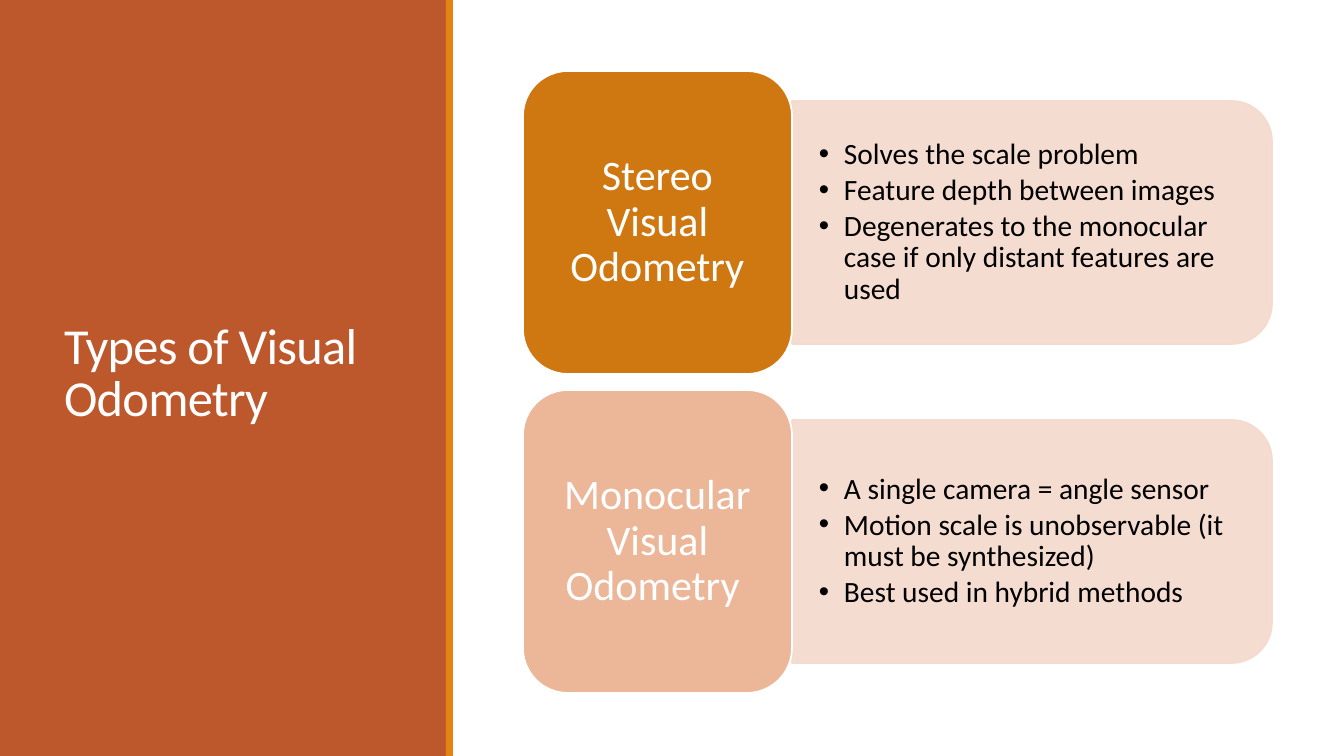
import lxml.etree
import pptx
import pptx.dml.color
import pptx.enum.shapes
import pptx.enum.text
import pptx.oxml.ns
import pptx.util

PX = 914400 / 100.8
THEME = {
    "font": "Calibri",
    "rust": "BD582C", "orange": "E48312", "white": "FFFFFF", "black": "000000",
    "amber": "CF7710", "peach": "ECB698", "blush": "F5D9CC",
    "title": 36, "label": 30, "point": 21, "outline": 1.25,
}
SHAPE = pptx.enum.shapes.MSO_SHAPE
qn = pptx.oxml.ns.qn


def px(length):
    return pptx.util.Emu(round(length * PX))


def add_block(kind, box, fill, outline=None, alpha=None):
    """Add a preset shape; alpha is the opacity of fill and outline in percent."""
    block = slide.shapes.add_shape(kind, *map(px, box))
    block.shadow.inherit = False
    block.fill.solid()
    block.fill.fore_color.rgb = pptx.dml.color.RGBColor.from_string(THEME[fill])
    if outline:
        block.line.color.rgb = pptx.dml.color.RGBColor.from_string(THEME[outline])
        block.line.width = pptx.util.Pt(THEME["outline"])
    else:
        block.line.fill.background()
    if alpha:
        for color in block._element.spPr.iter(qn("a:srgbClr")):
            lxml.etree.SubElement(color, qn("a:alpha"), val=str(alpha * 1000))
    return block


def write(shape, lines, style, color, spacing, insets, bullets=False, centred=False):
    """Fill a shape with one paragraph per line, anchored in the middle."""
    frame = shape.text_frame
    frame.word_wrap = True
    frame.vertical_anchor = pptx.enum.text.MSO_ANCHOR.MIDDLE
    frame.margin_left = frame.margin_right = px(insets[0])
    frame.margin_top = frame.margin_bottom = px(insets[1])
    align = pptx.enum.text.PP_ALIGN
    for index, line in enumerate(lines):
        paragraph = frame.add_paragraph() if index else frame.paragraphs[0]
        paragraph.alignment = align.CENTER if centred else align.LEFT
        paragraph.line_spacing = spacing
        if bullets:
            paragraph.space_after = pptx.util.Pt(3)
            properties = paragraph._p.get_or_add_pPr()
            properties.set("marL", str(px(25)))
            properties.set("indent", str(px(-25)))
            lxml.etree.SubElement(properties, qn("a:buFont"), typeface="Arial")
            lxml.etree.SubElement(properties, qn("a:buChar"), char="•")
        run = paragraph.add_run()
        run.text = line
        run.font.name = THEME["font"]
        run.font.size = pptx.util.Pt(THEME[style])
        run.font.color.rgb = pptx.dml.color.RGBColor.from_string(THEME[color])
    return frame


presentation = pptx.Presentation()
presentation.slide_width = px(1344)
presentation.slide_height = px(756)
slide = presentation.slides.add_slide(presentation.slide_layouts[6])

add_block(SHAPE.RECTANGLE, (0, 0, 446, 756), "rust")
add_block(SHAPE.RECTANGLE, (446, 0, 7, 756), "orange")

title = slide.shapes.add_textbox(*map(px, (54, 57, 340, 636)))
title_frame = write(title, ["Types of Visual Odometry"], "title", "white", 0.85, (10, 5))
title_frame.paragraphs[0].runs[0].font._element.set("spc", "-50")

METHODS = [
    ("Stereo Visual Odometry", "amber", [
        "Solves the scale problem",
        "Feature depth between images",
        "Degenerates to the monocular case if only distant features are used",
    ]),
    ("Monocular Visual Odometry ", "peach", [
        "A single camera = angle sensor",
        "Motion scale is unobservable (it must be synthesized)",
        "Best used in hybrid methods",
    ]),
]
FIRST_TOP, ROW_PITCH = 71, 319
PANEL_LEFT, PANEL_WIDTH, PANEL_HEIGHT = 792, 480, 243
LABEL_WIDTH, LABEL_HEIGHT = 269, 303

for row, (method, label_fill, points) in enumerate(METHODS):
    top = FIRST_TOP + row * ROW_PITCH
    middle_x = PANEL_LEFT + PANEL_WIDTH / 2
    middle_y = top + LABEL_HEIGHT / 2
    # The panel stands upright before its quarter turn, so its sides swap.
    panel = add_block(
        SHAPE.ROUND_2_SAME_RECTANGLE,
        (middle_x - PANEL_HEIGHT / 2, middle_y - PANEL_WIDTH / 2, PANEL_HEIGHT, PANEL_WIDTH),
        "blush", "blush", alpha=90)
    panel.rotation = 90

    details = slide.shapes.add_textbox(*map(px, (PANEL_LEFT, middle_y - 110, 468, 220)))
    write(details, points, "point", "black", 0.9, (27, 14), bullets=True)

    label = add_block(SHAPE.ROUNDED_RECTANGLE,
                      (523, top, LABEL_WIDTH, LABEL_HEIGHT), label_fill, "white")
    write(label, [method], "label", "white", 0.9, (12, 6), centred=True)

presentation.save("out.pptx")
